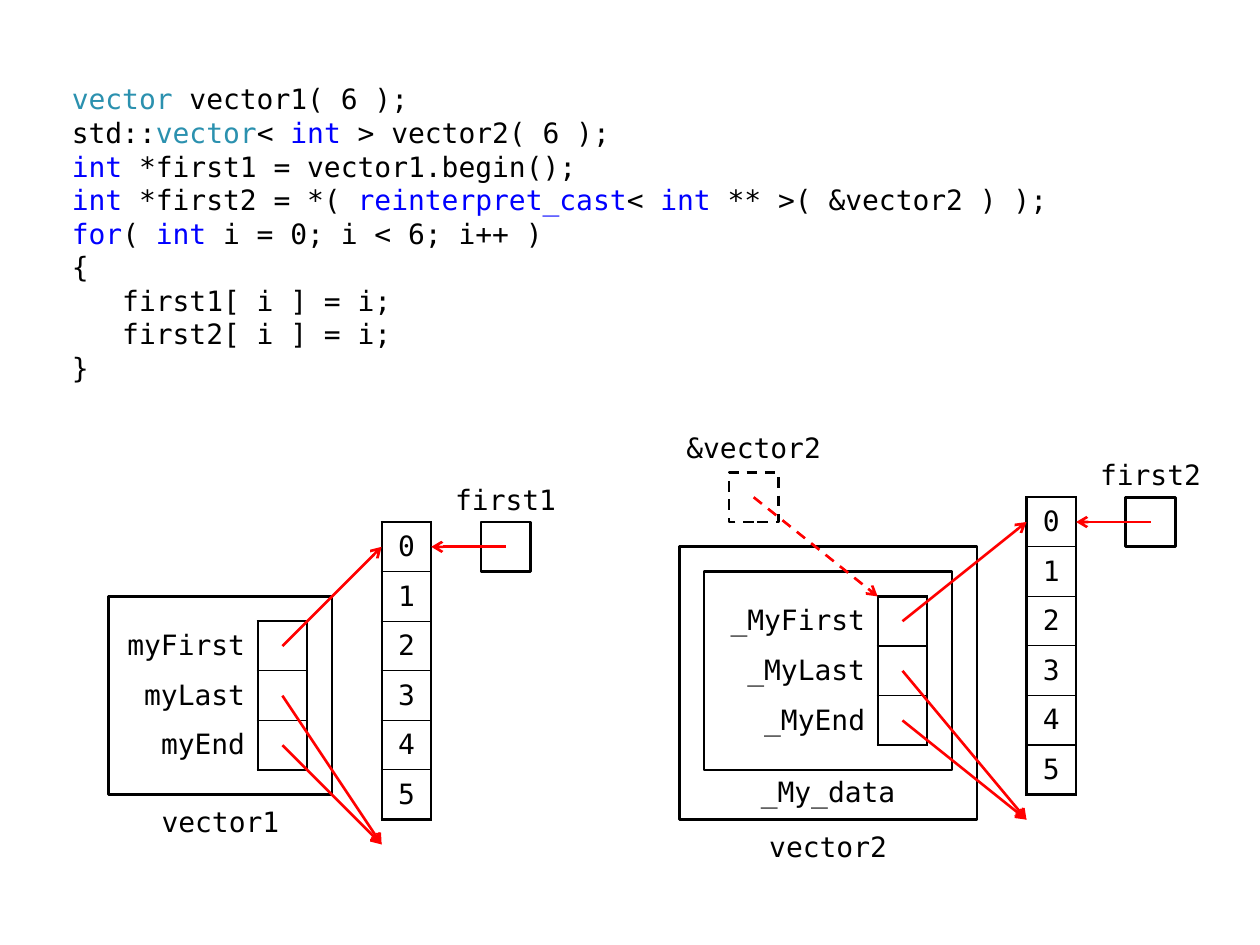
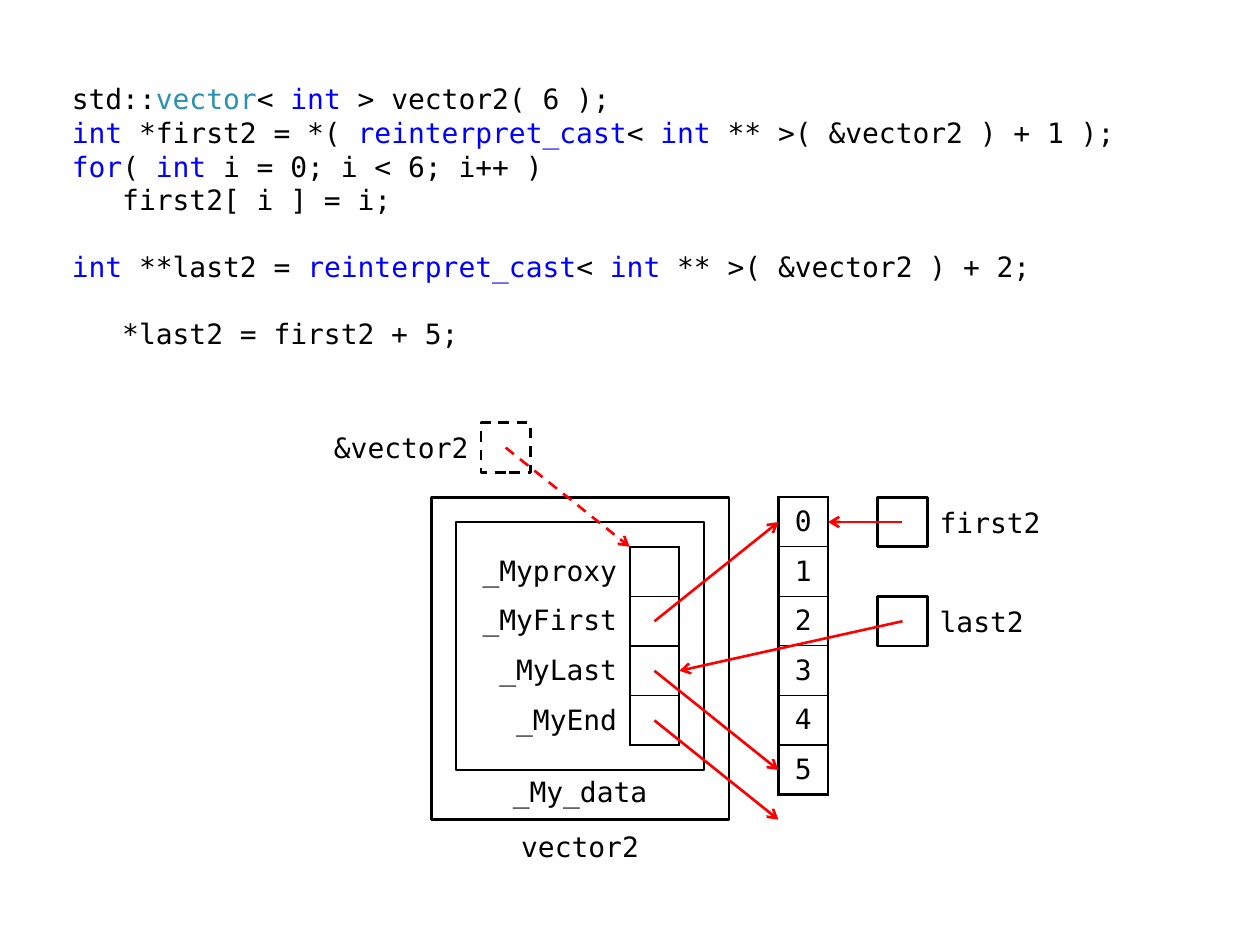
from dataclasses import dataclass
from itertools import groupby

from lxml import etree
from pptx import Presentation
from pptx.dml.color import RGBColor
from pptx.enum.dml import MSO_LINE
from pptx.enum.shapes import MSO_CONNECTOR, MSO_SHAPE
from pptx.enum.text import MSO_ANCHOR, MSO_AUTO_SIZE, PP_ALIGN
from pptx.oxml.ns import qn
from pptx.util import Inches, Pt

LEFT, CENTER, RIGHT = PP_ALIGN.LEFT, PP_ALIGN.CENTER, PP_ALIGN.RIGHT
MIDDLE, BOTTOM = MSO_ANCHOR.MIDDLE, MSO_ANCHOR.BOTTOM
DASH = MSO_LINE.DASH
RECT = MSO_SHAPE.RECTANGLE
STRAIGHT = MSO_CONNECTOR.STRAIGHT


@dataclass(frozen=True)
class Theme:
    font: str = "DejaVu Sans Mono"
    size: float = 16
    leading: float = 19.2
    text: str = "000000"
    keyword: str = "0000FF"
    type_name: str = "2B91AF"
    paper: str = "FFFFFF"
    arrow: str = "FF0000"
    thick: float = 1.5
    thin: float = 0.75


THEME = Theme()
UNIT = 1 / 2.54
ORIGIN_X, ORIGIN_Y = 0.47, 0.6
WORD_COLORS = {
    "vector": THEME.type_name,
    "int": THEME.keyword,
    "for": THEME.keyword,
    "reinterpret_cast": THEME.keyword,
}

BOTH_VECTORS_CODE = """vector vector1( 6 );
std::vector< int > vector2( 6 );
int *first1 = vector1.begin();
int *first2 = *( reinterpret_cast< int ** >( &vector2 ) );
for( int i = 0; i < 6; i++ )
{
   first1[ i ] = i;
   first2[ i ] = i;
}"""

PROXY_CODE = """std::vector< int > vector2( 6 );
int *first2 = *( reinterpret_cast< int ** >( &vector2 ) + 1 );
for( int i = 0; i < 6; i++ )
   first2[ i ] = i;

int **last2 = reinterpret_cast< int ** >( &vector2 ) + 2;

   *last2 = first2 + 5;"""


def span(n):
    return Inches(n * UNIT)


def grid(x, y):
    return Inches(ORIGIN_X + x * UNIT), Inches(ORIGIN_Y + y * UNIT)


def add_text(p, text, color=THEME.text, align=LEFT):
    p.alignment = align
    r = p.add_run()
    r.text = text
    r.font.name = THEME.font
    r.font.size = Pt(THEME.size)
    r.font.color.rgb = RGBColor.from_string(color)


def colored_pieces(line):
    words = ("".join(g) for _, g in groupby(line, lambda c: c.isalnum() or c == "_"))
    for color, same in groupby(words, lambda w: WORD_COLORS.get(w, THEME.text)):
        yield "".join(same), color


def add_code(s, code, width, height):
    title = s.shapes.title
    title._element.getparent().remove(title._element)
    body = s.placeholders[1]
    body.left, body.top = grid(0, 0)
    body.width, body.height = span(width), span(height)
    tf = body.text_frame
    tf.word_wrap = True
    tf.auto_size = MSO_AUTO_SIZE.NONE
    p, gap = tf.paragraphs[0], 0
    for i, line in enumerate(code.split("\n")):
        if not line:
            gap = THEME.leading
            continue
        if i:
            p = tf.add_paragraph()
        p.line_spacing = Pt(THEME.leading)
        p.space_before, gap = Pt(gap), 0
        pPr = p._p.get_or_add_pPr()
        pPr.set("marL", "0")
        pPr.set("indent", "0")
        etree.SubElement(pPr, qn("a:buNone"))
        for text, color in colored_pieces(line):
            add_text(p, text, color)


def add_label(s, text, x, y, width, align=CENTER, anchor=MIDDLE, margin_top=0.05):
    tf = s.shapes.add_textbox(*grid(x, y), span(width), span(1)).text_frame
    tf.word_wrap = True
    tf.vertical_anchor = anchor
    tf.margin_top = Inches(margin_top)
    add_text(tf.paragraphs[0], text, align=align)


def style_line(line, color, dash=None):
    line.color.rgb = RGBColor.from_string(color)
    line.width = Pt(THEME.thick)
    if dash:
        line.dash_style = dash


def add_box(s, x, y, width, height, filled=True, dash=None):
    sp = s.shapes.add_shape(RECT, *grid(x, y), span(width), span(height))
    sp.shadow.inherit = False
    if filled:
        sp.fill.solid()
        sp.fill.fore_color.rgb = RGBColor.from_string(THEME.paper)
    else:
        sp.fill.background()
    style_line(sp.line, THEME.text, dash)


def add_arrow(s, start, end, dash=None):
    cxn = s.shapes.add_connector(STRAIGHT, *grid(*start), *grid(*end))
    style_line(cxn.line, THEME.arrow, dash)
    etree.SubElement(cxn.line._get_or_add_ln(), qn("a:tailEnd"), type="arrow")
    etree.SubElement(cxn._element.spPr, qn("a:effectLst"))


def set_borders(cell, left=0, right=0, top=0, bottom=0):
    tcPr = cell._tc.get_or_add_tcPr()
    for i, (side, width) in enumerate(zip("LRTB", (left, right, top, bottom))):
        ln = etree.Element(qn(f"a:ln{side}"), w=str(Pt(width)))
        if width:
            fill = etree.SubElement(ln, qn("a:solidFill"))
            etree.SubElement(fill, qn("a:srgbClr"), val=THEME.text)
        else:
            etree.SubElement(ln, qn("a:noFill"))
        tcPr.insert(i, ln)


def fill_cell(cell, text="", align=CENTER, margins=(0, 0, 0, 0)):
    cell.fill.background()
    cell.vertical_anchor = MIDDLE
    (cell.margin_left, cell.margin_top,
     cell.margin_right, cell.margin_bottom) = map(Inches, margins)
    if text:
        add_text(cell.text_frame.paragraphs[0], text, align=align)


def add_cells(s, x, y, values=None, labels=None, label_width=0):
    count = len(values or labels)
    widths = [label_width, 1] if labels else [1]
    tbl = s.shapes.add_table(
        count, len(widths), *grid(x, y), span(sum(widths)), span(count)).table
    tbl.first_row = tbl.horz_banding = False
    for col, width in zip(tbl.columns, widths):
        col.width = span(width)
    for i in range(count):
        tbl.rows[i].height = span(1)
        if labels:
            name = tbl.cell(i, 0)
            fill_cell(name, labels[i], RIGHT, (0.04, 0.04, 0.1, 0.04))
            set_borders(name, right=THEME.thick)
        slot = tbl.cell(i, len(widths) - 1)
        fill_cell(slot, values[i] if values else "")
        set_borders(slot, THEME.thick, THEME.thick,
                    THEME.thin if i else THEME.thick,
                    THEME.thin if i < count - 1 else THEME.thick)


def add_array(s, x, y):
    add_cells(s, x, y, values=[str(n) for n in range(6)])


def add_pointer(s, x, y, target, dash=None):
    add_box(s, x, y, 1, 1, filled=False, dash=dash)
    add_arrow(s, (x + 0.5, y + 0.5), target, dash)


def add_vector1(s):
    add_box(s, 1, 10.5, 4.5, 4)
    add_cells(s, 1, 11, labels=["myFirst", "myLast", "myEnd"], label_width=3)
    add_label(s, "vector1", 1.5, 14.5, 3.5, anchor=BOTTOM)
    add_array(s, 6.5, 9)
    for row, target in enumerate((9.5, 15.5, 15.5)):
        add_arrow(s, (4.5, 11.5 + row), (6.5, target))
    add_label(s, "first1", 7.5, 8, 3, anchor=BOTTOM)
    add_pointer(s, 8.5, 9, (7.5, 9.5))


def add_vector2(s, x, members, last_target):
    top = 13.5 - len(members)
    add_box(s, x, top - 1, 6, 16 - top)
    add_box(s, x + 0.5, top - 0.5, 5, len(members) + 1)
    add_cells(s, x + 0.5, top, labels=members, label_width=3.5)
    add_label(s, "_My_data", x + 1, 14, 4, margin_top=0)
    add_label(s, "vector2", x + 1.5, 15, 3, anchor=BOTTOM)
    add_array(s, x + 7, 8.5)
    for row, target in enumerate((9, last_target, 15)):
        add_arrow(s, (x + 4.5, 11 + row), (x + 7, target))
    add_pointer(s, x + 1, top - 2.5, (x + 4, top), DASH)
    return x + 9, (x + 8, 9)


def main():
    prs = Presentation()
    prs.slide_width, prs.slide_height = Inches(10), Inches(7.5)
    layout = prs.slide_layouts[1]

    s = prs.slides.add_slide(layout)
    add_code(s, BOTH_VECTORS_CODE, 20.5, 6.5)
    add_vector1(s)
    x, first_item = add_vector2(s, 12.5, ["_MyFirst", "_MyLast", "_MyEnd"], 15)
    add_label(s, "&vector2", 12, 7, 4)
    add_label(s, "first2", x - 1, 7.5, 3, anchor=BOTTOM)
    add_pointer(s, x, 8.5, first_item)

    s = prs.slides.add_slide(layout)
    add_code(s, PROXY_CODE, 23, 6)
    x, first_item = add_vector2(
        s, 7.5, ["_Myproxy", "_MyFirst", "_MyLast", "_MyEnd"], 14)
    add_label(s, "&vector2", 5, 7, 3.5, align=RIGHT)
    for name, y, width, target in (
            ("first2", 8.5, 3, first_item), ("last2", 10.5, 2.5, (12.5, 12))):
        add_label(s, name, x + 1, y, width, align=LEFT)
        add_pointer(s, x, y, target)

    prs.save("out.pptx")


if __name__ == "__main__":
    main()
